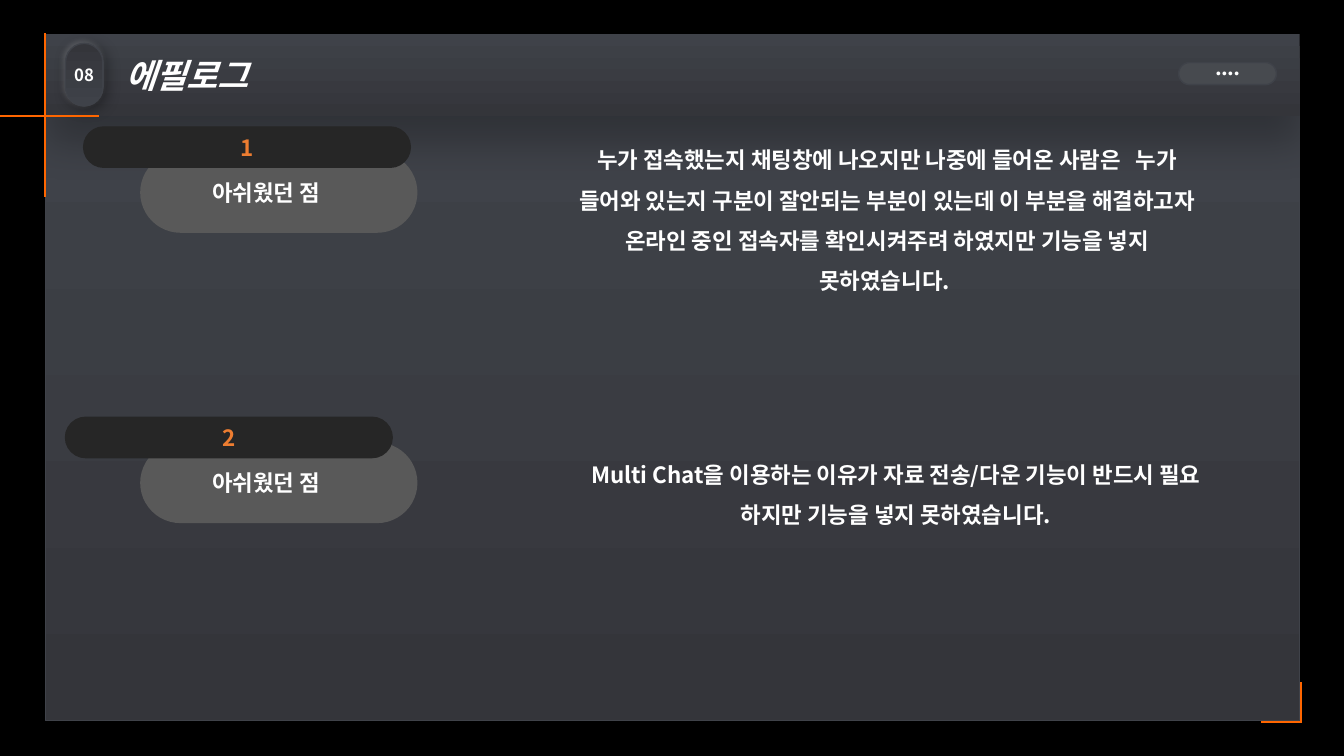
from lxml import etree
from pptx import Presentation
from pptx.dml.color import RGBColor
from pptx.enum.shapes import MSO_CONNECTOR, MSO_SHAPE
from pptx.enum.text import MSO_ANCHOR, MSO_AUTO_SIZE, PP_ALIGN
from pptx.oxml.ns import qn
from pptx.util import Inches, Pt

RECT, ROUNDED = MSO_SHAPE.RECTANGLE, MSO_SHAPE.ROUNDED_RECTANGLE
STRAIGHT = MSO_CONNECTOR.STRAIGHT
MIDDLE, TOP = MSO_ANCHOR.MIDDLE, MSO_ANCHOR.TOP
LEFT, CENTER = PP_ALIGN.LEFT, PP_ALIGN.CENTER
NO_FIT, GROW = MSO_AUTO_SIZE.NONE, MSO_AUTO_SIZE.SHAPE_TO_FIT_TEXT

FONT = "Noto Sans CJK KR"
COLORS = {
    "backdrop": "000000", "light": "3F4249", "dark": "34353A", "chip": "474A4F",
    "accent": "FF6600", "number": "ED7D31", "label": "595959", "pill": "262626",
    "text": "FFFFFF",
}
WIDTH, HEIGHT = 13.33, 7.5
PANEL_X, PANEL_W = 0.45, 12.44
HEADER_Y, HEADER_H = 0.34, 0.81
BODY_Y, BODY_H = HEADER_Y + HEADER_H, 6
SECTION_TOP, SECTION_PITCH = 1.26, 2.88
SECTIONS = [  # number, label, pill left, text box, text
    ("1", "아쉬웠던 점", 0.83, (5.57, 1.27, 6.46, 1.7),
     "누가 접속했는지 채팅창에 나오지만 나중에 들어온 사람은   누가 들어와 있는지 "
     "구분이 잘안되는 부분이 있는데 이 부분을 해결하고자 온라인 중인 접속자를 "
     "확인시켜주려 하였지만 기능을 넣지 못하였습니다. "),
    ("2", "아쉬웠던 점", 0.65, (5.57, 4.39, 6.63, 0.91),
     "Multi Chat을 이용하는 이유가 자료 전송/다운 기능이 반드시 필요 하지만 "
     "기능을 넣지 못하였습니다."),
]


def rgb(name):
    return RGBColor.from_string(COLORS[name])


def paint(sp, fill, line=None):
    """Fill with one colour name, or a top-to-bottom pair of them."""
    if isinstance(fill, tuple):
        sp.fill.gradient()
        sp.fill.gradient_angle = 270
        for stop, name in zip(sp.fill.gradient_stops, fill):
            stop.color.rgb = rgb(name)
    else:
        sp.fill.solid()
        sp.fill.fore_color.rgb = rgb(fill)
    if line:
        sp.line.color.rgb = rgb(line)
        sp.line.width = Pt(1)
    else:
        sp.line.fill.background()
    sp.shadow.inherit = False


def cast_shadow(sp, color, alpha, blur, distance, angle):
    effects = sp.element.spPr.find(qn("a:effectLst"))
    shadow = etree.SubElement(
        effects, qn("a:outerShdw"), blurRad=str(Pt(blur)), dist=str(Pt(distance)),
        dir=str(angle * 60000), algn="ctr", rotWithShape="0")
    clr = etree.SubElement(shadow, qn("a:srgbClr"), val=COLORS[color])
    etree.SubElement(clr, qn("a:alpha"), val=str(alpha * 1000))


def add_box(slide, kind, box, fill, line=None):
    sp = slide.shapes.add_shape(kind, *map(Inches, box))
    if kind == ROUNDED:
        sp.adjustments[0] = 0.5
    paint(sp, fill, line)
    return sp


def write(sp, text, size, color="text", bold=True, align=CENTER, anchor=MIDDLE,
          wrap=True, fit=NO_FIT):
    tf = sp.text_frame
    tf.word_wrap, tf.auto_size, tf.vertical_anchor = wrap, fit, anchor
    p = tf.paragraphs[0]
    p.alignment = align
    r = p.add_run()
    r.text = text
    r.font.size, r.font.bold, r.font.name = Pt(size), bold, FONT
    r.font.color.rgb = rgb(color)
    etree.SubElement(r.font._element, qn("a:ea"), typeface=FONT)
    return p


def add_line(slide, x1, y1, x2, y2):
    ln = slide.shapes.add_connector(STRAIGHT, *map(Inches, (x1, y1, x2, y2)))
    ln.line.color.rgb = rgb("accent")
    ln.line.width = Pt(1.5)
    etree.SubElement(ln.element.spPr, qn("a:effectLst"))


def add_panel(slide, x, y, w, h):
    panel = add_box(slide, RECT, (x, y, w, h), ("light", "dark"), "light")
    cast_shadow(panel, "backdrop", 40, 28, 19, 90)
    slide.shapes.title.element.addprevious(panel.element)


def add_header(slide, x, y, w, h, number, heading):
    title = slide.shapes.title
    title.left, title.top, title.width, title.height = map(Inches, (x, y, w, h))
    paint(title, ("light", "dark"))
    cast_shadow(title, "backdrop", 23, 28, 19, 90)
    p = write(title, heading, 24, align=LEFT)
    p.runs[0].font.italic = True
    tf = title.text_frame
    tf.margin_left, tf.margin_right = Inches(0.79), Inches(0.1)
    tf.margin_top = tf.margin_bottom = Inches(0.05)

    badge_box = (x + 0.2, y + 0.09, 0.37, 0.62)
    for shadow in (("backdrop", 40, 11, 3, 45), ("text", 15, 4, 2, 225)):
        badge = add_box(slide, ROUNDED, badge_box, ("dark", "light"), "light")
        cast_shadow(badge, *shadow)
    write(badge, number, 12, wrap=False)

    chip = add_box(slide, ROUNDED, (x + w - 1.2, y + 0.28, 0.97, 0.22), "chip", "light")
    write(chip, "●  ●  ●  ●", 3, bold=False, wrap=False)


def add_corner_lines(slide, left, top, right, bottom):
    add_line(slide, left, HEADER_Y - 0.01, left, top + 0.8)
    add_line(slide, 0, top, left + 0.53, top)
    add_line(slide, right - 0.39, bottom, right, bottom)
    add_line(slide, right, bottom - 0.39, right, bottom + 0.01)


def add_section(slide, top, number, label, pill_x, text_box, text):
    tag = add_box(slide, ROUNDED, (1.39, top + 0.25, 2.75, 0.8), "label")
    p = write(tag, label, 16, align=LEFT)
    pPr = p._p.get_or_add_pPr()
    pPr.set("marL", str(Inches(0.5)))
    pPr.set("indent", "0")

    pill = add_box(slide, ROUNDED, (pill_x, top, 3.24, 0.4), "pill", "pill")
    write(pill, number, 16, "number")

    tb = slide.shapes.add_textbox(*map(Inches, text_box))
    write(tb, text, 16, anchor=TOP, fit=GROW).line_spacing = 1.5


def main():
    prs = Presentation()
    prs.slide_width, prs.slide_height = Inches(WIDTH), Inches(HEIGHT)
    slide = prs.slides.add_slide(prs.slide_layouts[5])
    slide.background.fill.solid()
    slide.background.fill.fore_color.rgb = rgb("backdrop")

    add_panel(slide, PANEL_X, BODY_Y, PANEL_W, BODY_H)
    add_header(slide, PANEL_X, HEADER_Y, PANEL_W, HEADER_H, "08", "에필로그")
    add_corner_lines(slide, PANEL_X, BODY_Y, PANEL_X + PANEL_W + 0.01,
                     BODY_Y + BODY_H + 0.01)
    for i, section in enumerate(SECTIONS):
        add_section(slide, SECTION_TOP + i * SECTION_PITCH, *section)
    prs.save("out.pptx")


if __name__ == "__main__":
    main()
